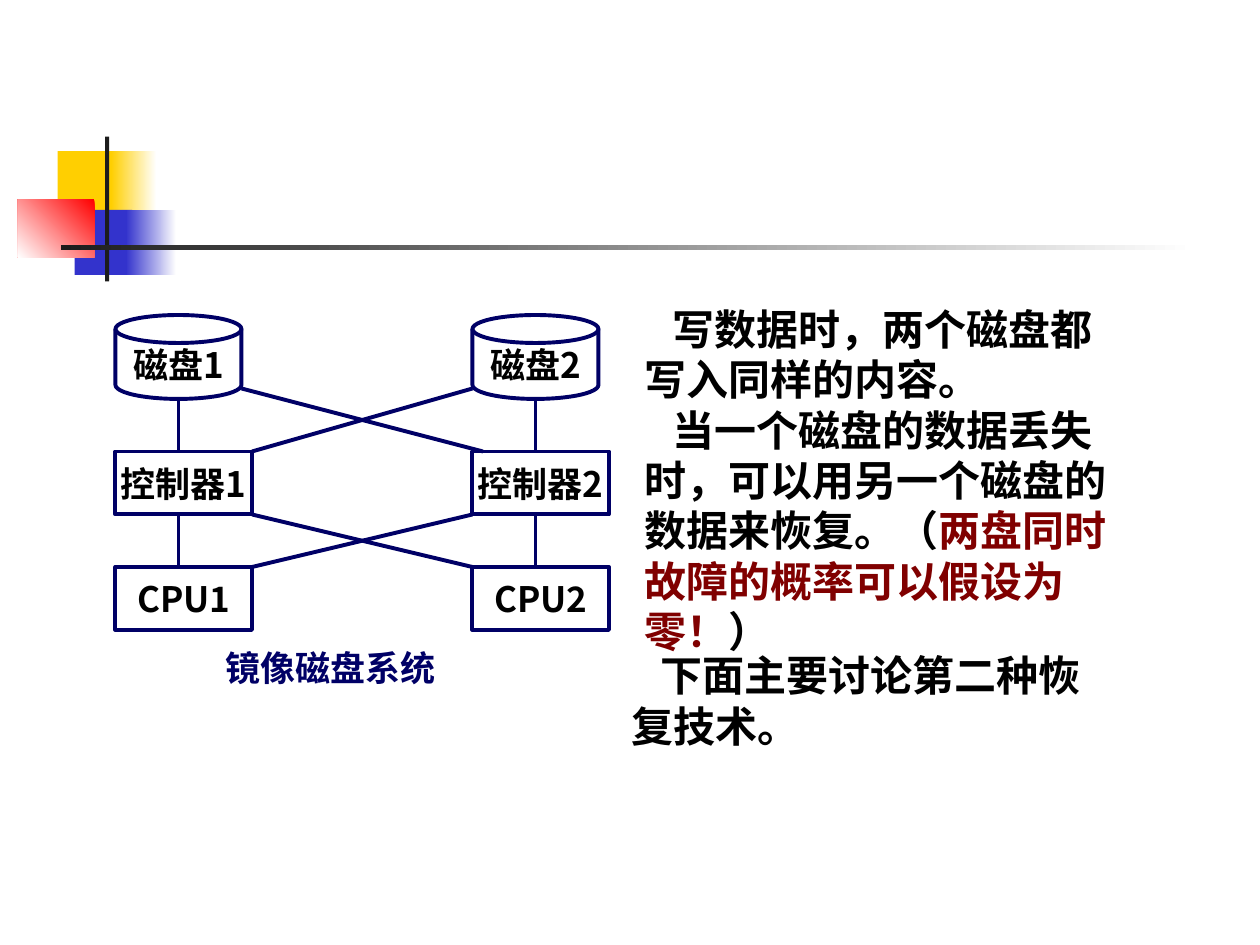
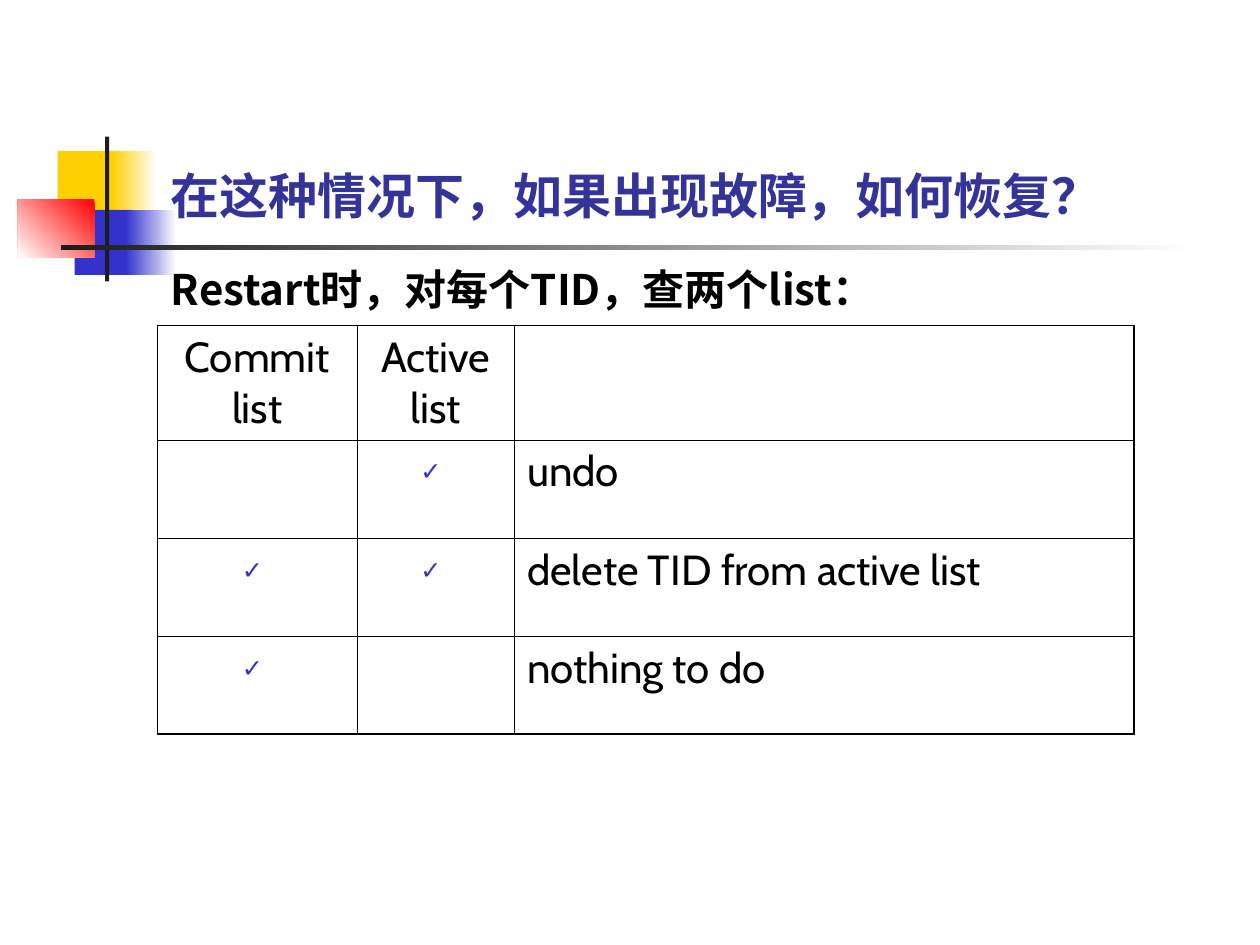
from typing import NamedTuple

from lxml import etree
from pptx import Presentation
from pptx.dml.color import RGBColor
from pptx.enum.shapes import MSO_CONNECTOR, MSO_SHAPE
from pptx.enum.text import MSO_ANCHOR, PP_ALIGN
from pptx.oxml.ns import qn
from pptx.util import Emu, Pt

PX = 7620  # 120 px to the inch
RECT, DISK = MSO_SHAPE.RECTANGLE, MSO_SHAPE.FLOWCHART_MAGNETIC_DISK
STRAIGHT = MSO_CONNECTOR.STRAIGHT
LEFT, CENTER = PP_ALIGN.LEFT, PP_ALIGN.CENTER
TOP, MIDDLE, BOTTOM = MSO_ANCHOR.TOP, MSO_ANCHOR.MIDDLE, MSO_ANCHOR.BOTTOM

BLACK = RGBColor(0x00, 0x00, 0x00)
WHITE = RGBColor(0xFF, 0xFF, 0xFF)
YELLOW = RGBColor(0xFF, 0xCF, 0x01)
BLUE = RGBColor(0x33, 0x33, 0xCC)
RED = RGBColor(0xFF, 0x00, 0x00)
CHARCOAL = RGBColor(0x1C, 0x1C, 0x1C)
TITLE_BLUE = RGBColor(0x33, 0x33, 0x99)
NAVY = RGBColor(0x00, 0x00, 0x66)
MAROON = RGBColor(0x80, 0x00, 0x00)

LATIN_FONT = "Cabin"
CJK_FONT = "Noto Sans CJK SC"
DIAGRAM_LINE = Pt(2.25)
INNER_BORDER, OUTER_BORDER = Pt(0.45), Pt(1.08)


class Box(NamedTuple):
    x: int
    y: int
    w: int
    h: int

    def emu(self) -> list[Emu]:
        return [px(v) for v in self]


class Band(NamedTuple):
    box: Box
    start: RGBColor
    end: RGBColor | None = None
    angle: int = 180


class Style(NamedTuple):
    size: int
    color: RGBColor = BLACK
    bold: bool = True
    font: str = CJK_FONT


class Span(NamedTuple):
    text: str
    color: RGBColor = BLACK


class Para(NamedTuple):
    spans: list[Span]
    indent: int = 0


class Node(NamedTuple):
    kind: int
    box: Box
    label: str


class Link(NamedTuple):
    x1: int
    y1: int
    x2: int
    y2: int


BANDS = [
    Band(Box(55, 144, 58, 62), YELLOW),
    Band(Box(106, 144, 43, 62), WHITE, YELLOW),
    Band(Box(71, 200, 55, 62), BLUE),
    Band(Box(120, 200, 48, 62), WHITE, BLUE),
    Band(Box(17, 190, 73, 55), RED, WHITE, 225),
    Band(Box(100, 130, 4, 138), CHARCOAL),
    Band(Box(58, 233, 1080, 5), WHITE, CHARCOAL),
]

TITLE = Style(28, TITLE_BLUE, font=LATIN_FONT)
BODY = Style(24)
LABEL = Style(20)
CAPTION = Style(20, NAVY)
CELL = Style(24, bold=False, font=LATIN_FONT)

COLUMNS = [110, 450]
NODES = [
    Node(kind, Box(x, y, w, h), f"{name}{number}")
    for number, x in enumerate(COLUMNS, 1)
    for kind, y, w, h, name in [
        (DISK, 300, 120, 80, "磁盘"),
        (RECT, 430, 130, 60, "控制器"),
        (RECT, 540, 130, 60, "CPU"),
    ]
]
LINKS = [
    Link(x + 60, y1, x + 60, y2)
    for x in COLUMNS
    for y1, y2 in [(380, 430), (490, 540)]
] + [
    Link(230, 370, 460, 430),
    Link(450, 370, 240, 430),
    Link(240, 490, 450, 540),
    Link(240, 540, 450, 490),
]

COLUMN_WIDTHS = [190, 150, 590]
ROW_HEIGHTS = [109, 94, 93, 93]
TICK = "✓"
ROWS = [
    ["Commit list", "Active list", ""],
    ["", TICK, "undo"],
    [TICK, TICK, "delete TID from active list"],
    [TICK, "", "nothing to do"],
]


def px(value: int) -> Emu:
    return Emu(value * PX)


def style_run(r, style: Style) -> None:
    r.font.size = Pt(style.size)
    r.font.bold = style.bold
    r.font.color.rgb = style.color
    r.font.name = style.font
    ea = etree.SubElement(r.font._element, qn("a:ea"))
    ea.set("typeface", CJK_FONT)


def write_line(tf, text: str, style: Style, align=LEFT) -> None:
    tf.text = text
    p = tf.paragraphs[0]
    p.alignment = align
    for r in p.runs:
        style_run(r, style)


def add_text(slide, box: Box, paras: list[Para], style: Style, anchor=TOP) -> None:
    """Add a wrapped text box whose spans may differ in colour."""
    tf = slide.shapes.add_textbox(*box.emu()).text_frame
    tf.word_wrap = True
    tf.vertical_anchor = anchor
    for i, para in enumerate(paras):
        p = tf.add_paragraph() if i else tf.paragraphs[0]
        p.line_spacing = Pt(style.size * 1.2)
        p._p.get_or_add_pPr().set("indent", str(px(para.indent)))
        for span in para.spans:
            r = p.add_run()
            r.text = span.text
            style_run(r, style._replace(color=span.color))


def add_band(slide, band: Band) -> None:
    sp = slide.shapes.add_shape(RECT, *band.box.emu())
    sp.shadow.inherit = False
    sp.line.fill.background()
    if band.end is None:
        sp.fill.solid()
        sp.fill.fore_color.rgb = band.start
        return
    sp.fill.gradient()
    sp.fill.gradient_angle = band.angle
    for stop, color in zip(sp.fill.gradient_stops, (band.start, band.end)):
        stop.color.rgb = color


def add_slide(prs):
    """Add a blank slide with the shared decoration."""
    slide = prs.slides.add_slide(prs.slide_layouts[6])
    for band in BANDS:
        add_band(slide, band)
    return slide


def add_node(slide, node: Node) -> None:
    sp = slide.shapes.add_shape(node.kind, *node.box.emu())
    sp.shadow.inherit = False
    sp.fill.background()
    sp.line.color.rgb = NAVY
    sp.line.width = DIAGRAM_LINE
    tf = sp.text_frame
    tf.word_wrap = False
    tf.vertical_anchor = MIDDLE
    write_line(tf, node.label, LABEL, CENTER)


def add_link(slide, link: Link) -> None:
    line = slide.shapes.add_connector(STRAIGHT, *[px(v) for v in link])
    line.line.color.rgb = NAVY
    line.line.width = DIAGRAM_LINE
    etree.SubElement(line._element.spPr, qn("a:effectLst"))


def set_borders(cell, outer: dict[str, bool]) -> None:
    """Draw the four borders, heavier on the sides marked as outer."""
    tc_pr = cell._tc.get_or_add_tcPr()
    for i, (side, is_outer) in enumerate(outer.items()):
        ln = etree.Element(qn(f"a:{side}"))
        ln.set("w", str(OUTER_BORDER if is_outer else INNER_BORDER))
        fill = etree.SubElement(ln, qn("a:solidFill"))
        etree.SubElement(fill, qn("a:srgbClr")).set("val", str(BLACK))
        tc_pr.insert(i, ln)


def write_tick(tf) -> None:
    """Show a tick as the bullet of a blank line, which a space keeps visible."""
    write_line(tf, " ", CELL, CENTER)
    p_pr = tf.paragraphs[0]._p.get_or_add_pPr()
    p_pr.set("marL", "0")
    p_pr.set("indent", "0")
    color = etree.SubElement(p_pr, qn("a:buClr"))
    etree.SubElement(color, qn("a:srgbClr")).set("val", str(BLUE))
    etree.SubElement(p_pr, qn("a:buSzPct")).set("val", "60000")
    etree.SubElement(p_pr, qn("a:buFont")).set("typeface", LATIN_FONT)
    etree.SubElement(p_pr, qn("a:buChar")).set("char", TICK)


def add_recovery_table(slide) -> None:
    box = Box(150, 310, sum(COLUMN_WIDTHS), sum(ROW_HEIGHTS))
    last_row, last_col = len(ROWS) - 1, len(COLUMN_WIDTHS) - 1
    table = slide.shapes.add_table(last_row + 1, last_col + 1, *box.emu()).table
    table.first_row = table.horz_banding = False
    for column, width in zip(table.columns, COLUMN_WIDTHS):
        column.width = px(width)
    for i, (row, height) in enumerate(zip(ROWS, ROW_HEIGHTS)):
        table.rows[i].height = px(height)
        for j, text in enumerate(row):
            cell = table.cell(i, j)
            cell.fill.background()
            if text == TICK:
                write_tick(cell.text_frame)
            else:
                align = LEFT if j == last_col else CENTER
                write_line(cell.text_frame, text, CELL, align)
            set_borders(cell, {"lnL": j == 0, "lnR": j == last_col,
                               "lnT": i == 0, "lnB": i == last_row})


def build_mirrored_disks(prs) -> None:
    slide = add_slide(prs)
    add_text(slide, Box(602, 283, 468, 348), [
        Para([Span("写数据时，两个磁盘都写入同样的内容。")], 27),
        Para([
            Span("当一个磁盘的数据丢失时，可以用另一个磁盘的数据来恢复。（"),
            Span("两盘同时故障的概率可以假设为零！", MAROON),
            Span("）"),
        ], 27),
    ], BODY)
    for node in NODES:
        add_node(slide, node)
    for link in LINKS:
        add_link(slide, link)
    add_text(slide, Box(181, 610, 390, 53),
             [Para([Span("镜像磁盘系统", NAVY)], 22)], CAPTION)
    add_text(slide, Box(590, 613, 590, 108), [
        Para([Span("下面主要讨论第二种恢")], 27),
        Para([Span("复技术。")]),
    ], BODY)


def build_restart_rules(prs) -> None:
    slide = add_slide(prs)
    add_text(slide, Box(151, 28, 1022, 192),
             [Para([Span("在这种情况下，如果出现故障，如何恢复？", TITLE_BLUE)])],
             TITLE, BOTTOM)
    add_text(slide, Box(151, 245, 1020, 540),
             [Para([Span("Restart时，对每个TID，查两个list：")])], BODY)
    add_recovery_table(slide)


def main() -> None:
    prs = Presentation()
    prs.slide_width, prs.slide_height = px(1200), px(900)
    build_mirrored_disks(prs)
    build_restart_rules(prs)
    prs.save("out.pptx")


if __name__ == "__main__":
    main()
